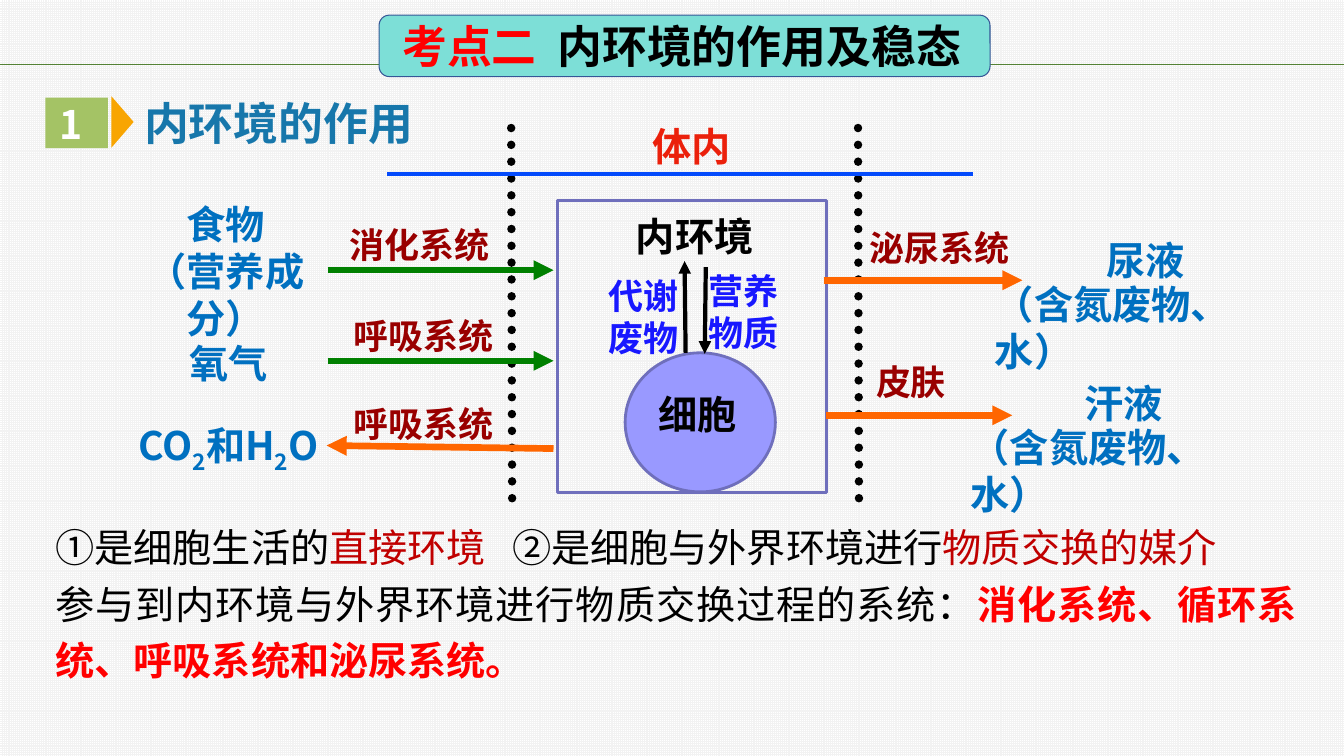
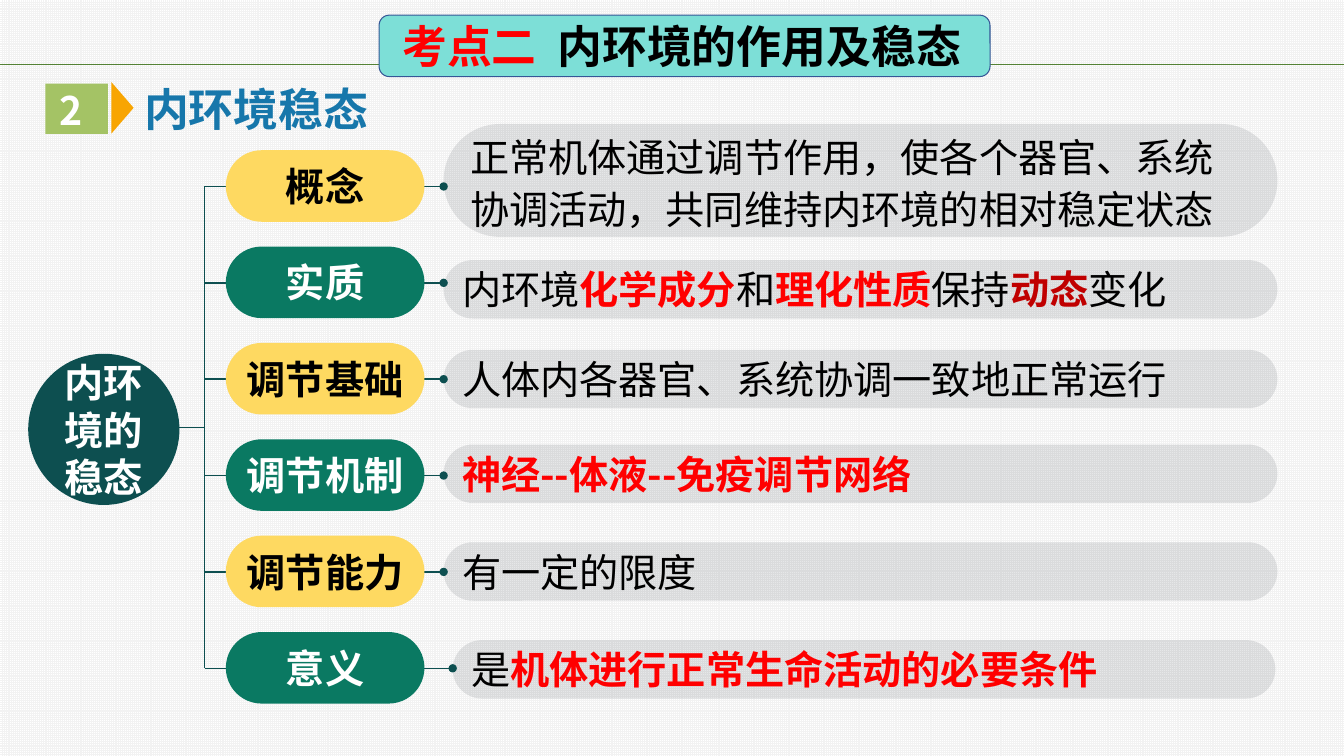
"""Build two slides on the role and the homeostasis of the internal environment."""
from lxml import etree
from pptx import Presentation
from pptx.dml.color import RGBColor
from pptx.enum.dml import MSO_LINE, MSO_PATTERN
from pptx.enum.shapes import MSO_CONNECTOR, MSO_SHAPE
from pptx.enum.text import MSO_ANCHOR, MSO_AUTO_SIZE, PP_ALIGN
from pptx.oxml.ns import qn
from pptx.util import Inches, Pt

FONT = "Noto Sans CJK SC"
LEFT, CENTER, JUSTIFY = PP_ALIGN.LEFT, PP_ALIGN.CENTER, PP_ALIGN.JUSTIFY
RECT, OVAL, PILL = MSO_SHAPE.RECTANGLE, MSO_SHAPE.OVAL, MSO_SHAPE.ROUNDED_RECTANGLE
BANNER, TRIANGLE = MSO_SHAPE.FLOWCHART_ALTERNATE_PROCESS, MSO_SHAPE.ISOSCELES_TRIANGLE
COLORS = {
    "black": "000000", "white": "FFFFFF", "grid": "F2F2F2", "red": "FF0000",
    "dark red": "C00000", "maroon": "990000", "inside": "EB200B",
    "rule": "548235", "banner": "7DDFD7", "banner edge": "355696",
    "heading": "1777AB", "marker": "F8A502", "number": "A4C365",
    "cell": "9999FF", "cell edge": "6F6FBC", "exchange": "1818FF",
    "substance": "0070C0", "intake": "008000", "output": "FF6600",
    "body": "044BFC", "root": "0D4F50", "green": "0A7962",
    "yellow": "FED961", "detail": "0F1423",
}
COLORS = {name: RGBColor.from_string(value) for name, value in COLORS.items()}


def place(page, area, paras=(), kind=None, fill=None, outline=None, size=28,
          color="black", bold=True, align=LEFT, wrap=True, spacing=None, tab=None):
    """Place a text box, the title or a preset shape, and write its paragraphs."""
    bounds = [Inches(value) for value in area]
    if kind == "title":
        box = page.shapes.title
        box.left, box.top, box.width, box.height = bounds
    elif kind is None:
        box = page.shapes.add_textbox(*bounds)
    else:
        box = page.shapes.add_shape(kind, *bounds)
        box.shadow.inherit = False
        for paint, name in ((box.fill, fill), (box.line.fill, outline)):
            if name:
                paint.solid()
                paint.fore_color.rgb = COLORS[name]
            else:
                paint.background()
        if kind == PILL:
            box.adjustments[0] = 0.5
    frame = box.text_frame
    frame.word_wrap = wrap
    frame.auto_size = MSO_AUTO_SIZE.NONE if kind else MSO_AUTO_SIZE.SHAPE_TO_FIT_TEXT
    frame.vertical_anchor = MSO_ANCHOR.TOP if kind in (None, "title") else MSO_ANCHOR.MIDDLE
    for index, spans in enumerate(paras):
        para = frame.add_paragraph() if index else frame.paragraphs[0]
        para.alignment = align
        if spacing:
            para.line_spacing = spacing
        if tab:
            stops = etree.SubElement(para._p.get_or_add_pPr(), qn("a:tabLst"))
            etree.SubElement(stops, qn("a:tab"), pos=str(Inches(tab)), algn="l")
        para.font.size, para.font.bold, para.font.name = Pt(size), bold, FONT
        para.font.color.rgb = COLORS[color]
        etree.SubElement(para.font._element, qn("a:ea"), typeface=FONT)
        if isinstance(spans, str):
            para.add_run().text = spans
            continue
        for text, span_color, span_bold in spans:
            span = para.add_run()
            span.text = text
            span.font.bold = span_bold
            span.font.color.rgb = COLORS[span_color]
    return box


def connect(page, start, end, color, width=1, head=None, tail=None, dotted=False):
    """Draw a straight line with optional line ends."""
    points = [Inches(value) for value in (*start, *end)]
    link = page.shapes.add_connector(MSO_CONNECTOR.STRAIGHT, *points)
    link.line.color.rgb = COLORS[color]
    link.line.width = Pt(width)
    stroke = link.line._get_or_add_ln()
    if dotted:
        link.line.dash_style = MSO_LINE.ROUND_DOT
        stroke.set("cap", "rnd")
    for tag, ending in (("a:headEnd", head), ("a:tailEnd", tail)):
        if ending:
            etree.SubElement(stroke, qn(tag), type=ending)
    etree.SubElement(link._element.spPr, qn("a:effectLst"))


deck = Presentation()
deck.slide_width, deck.slide_height = Inches(13.33), Inches(7.5)
backdrop = deck.slide_master.background.fill
backdrop.patterned()
backdrop.pattern = MSO_PATTERN.SMALL_GRID
backdrop.fore_color.rgb = COLORS["grid"]
backdrop.back_color.rgb = COLORS["white"]

pages = []
for number, heading, top in (("1", "内环境的作用", 0.95), ("2", "内环境稳态", 0.81)):
    page = deck.slides.add_slide(deck.slide_layouts[5])
    connect(page, (0, 0.64), (13.33, 0.64), "rule")
    banner = place(page, (3.76, 0.15, 6.06, 0.61),
                   [[("考点二\t", "red", True), ("内环境的作用及稳态", "black", True)]],
                   BANNER, "banner", "banner edge", size=32, tab=1.54)
    banner.text_frame.margin_left = Inches(0.2)
    title = place(page, (1.43, top, 2.78, 0.54), [heading], "title", size=32, color="heading")
    frame = title.text_frame
    frame.margin_left = frame.margin_top = frame.margin_right = frame.margin_bottom = 0
    marker = place(page, (0.96, top + 0.15, 0.51, 0.22), kind=TRIANGLE, fill="marker")
    marker.rotation = 90
    place(page, (0.45, top + 0.02, 0.62, 0.5), kind=RECT, fill="number")
    place(page, (0.49, top, 0.44, 0.57), [number], color="white", wrap=False)
    pages.append(page)
role_page, balance_page = pages

place(role_page, (6.2, 3.5, 1.49, 1.38), kind=OVAL, fill="cell", outline="cell edge").line.width = Pt(2)
place(role_page, (5.53, 1.99, 2.67, 2.9), kind=RECT, outline="cell edge").line.width = Pt(2)
for x in (5.07, 8.51):
    connect(role_page, (x, 1.27), (x + 0.01, 5.09), "black", 6, dotted=True)
connect(role_page, (3.84, 1.73), (9.65, 1.73), "body", 3)
for start, end, color, width in (
    ((3.25, 2.68), (5.49, 2.68), "intake", 4.75),
    ((3.25, 3.58), (5.49, 3.58), "intake", 4.75),
    ((5.49, 4.45), (3.24, 4.42), "output", 4.75),
    ((8.17, 2.78), (10.14, 2.78), "output", 4.75),
    ((8.19, 4.12), (10.04, 4.12), "output", 4.75),
    ((7, 2.65), (6.99, 3.51), "black", 3),
    ((6.8, 3.5), (6.79, 2.59), "black", 3),
):
    connect(role_page, start, end, color, width, tail="triangle")

for text, area in (
    ("消化系统", (3.37, 2.17, 1.68, 0.52)),
    ("呼吸系统", (3.41, 3.07, 2.2, 0.52)),
    ("呼吸系统", (3.41, 3.94, 2.46, 0.52)),
    ("泌尿系统", (8.53, 2.2, 1.75, 0.52)),
    ("皮肤", (8.59, 3.53, 1.55, 0.52)),
):
    place(role_page, area, [text], size=25, color="maroon")
for paras, area, align in (
    (["食物", "（营养成分）"], (1.12, 1.94, 2.24, 1.04), CENTER),
    (["氧气"], (1.43, 3.32, 1.68, 0.57), CENTER),
    (["尿液"], (10.59, 2.3, 1.54, 0.57), CENTER),
    (["（含氮废物、水）"], (9.77, 2.73, 3.22, 0.57), LEFT),
    (["汗液"], (10.22, 3.71, 1.85, 0.57), CENTER),
    (["（含氮废物、水）"], (9.53, 4.15, 3.18, 0.57), LEFT),
):
    place(role_page, area, paras, color="substance", align=align)
formula = place(role_page, (1.11, 4.13, 2.31, 0.57),
                [[(text, "substance", True) for text in ("CO", "2", "和H", "2", "O")]], align=CENTER)
for span in formula.text_frame.paragraphs[0].runs[1::2]:
    span.font._element.set("baseline", "-25000")
for text, area in (("营养物质", (6.89, 2.62, 0.96, 0.94)), ("代谢废物", (5.88, 2.67, 1.01, 0.94))):
    place(role_page, area, [text], size=25, color="exchange", align=CENTER)
place(role_page, (6.37, 1.16, 0.98, 0.57), ["体内"], color="inside", wrap=False)
place(role_page, (5.68, 2.06, 2.42, 0.57), ["内环境"], align=CENTER)
place(role_page, (6.43, 3.82, 0.98, 0.57), ["细胞"], wrap=False)
place(role_page, (0.45, 5.05, 12.51, 1.8), [
    [("①是细胞生活的", "black", False), ("直接环境\t", "dark red", False),
     ("②是细胞与外界环境进行", "black", False), ("物质交换的媒介", "dark red", False)],
    [("参与到内环境与外界环境进行物质交换过程的系统：", "black", False),
     ("消化系统、循环系统、呼吸系统和泌尿系统。", "red", True)],
], bold=False, align=JUSTIFY, spacing=1.2, tab=4.53)

place(balance_page, (0.28, 3.51, 1.5, 1.5), ["内环境的稳态"], OVAL, "root", color="white", align=CENTER)
connect(balance_page, (1.78, 4.24), (2.03, 4.24), "root")
connect(balance_page, (2.03, 1.85), (2.03, 6.63), "root")
aspects = (
    ("概念", (4.4, 1.23, 8.27, 1.12),
     "正常机体通过调节作用，使各个器官、系统协调活动，共同维持内环境的相对稳定状态"),
    ("实质", (4.4, 2.58, 8.27, 0.58),
     [("内环境", "black", False), ("化学成分", "red", True), ("和", "black", False),
      ("理化性质", "red", True), ("保持", "black", False), ("动态", "dark red", True),
      ("变化", "black", False)]),
    ("调节基础", (4.4, 3.47, 8.27, 0.58), "人体内各器官、系统协调一致地正常运行"),
    ("调节机制", (4.4, 4.41, 8.27, 0.58), [("神经--体液--免疫调节网络", "red", True)]),
    ("调节能力", (4.4, 5.38, 8.27, 0.58), "有一定的限度"),
    ("意义", (4.49, 6.35, 8.16, 0.58),
     [("是", "black", False), ("机体进行正常生命活动的必要条件", "red", True)]),
)
first_top, last_top = 1.49, 6.27
for index, (label, area, detail) in enumerate(aspects):
    top = first_top + index * (last_top - first_top) / (len(aspects) - 1)
    middle = top + 0.36
    fill, color = ("green", "white") if index % 2 else ("yellow", "black")
    bar = place(balance_page, area, [detail], PILL, "detail", bold=False,
                spacing=None if index else 1.1)
    tint = bar._element.spPr.find(qn("a:solidFill"))[0]
    etree.SubElement(tint, qn("a:alpha"), val="10000")
    connect(balance_page, (2.03, middle), (2.26, middle), "root")
    connect(balance_page, (area[0], middle), (4.21, middle), "root", head="oval")
    place(balance_page, (2.24, top, 1.97, 0.71), [label], PILL, fill, color=color, align=CENTER)

deck.save("out.pptx")
